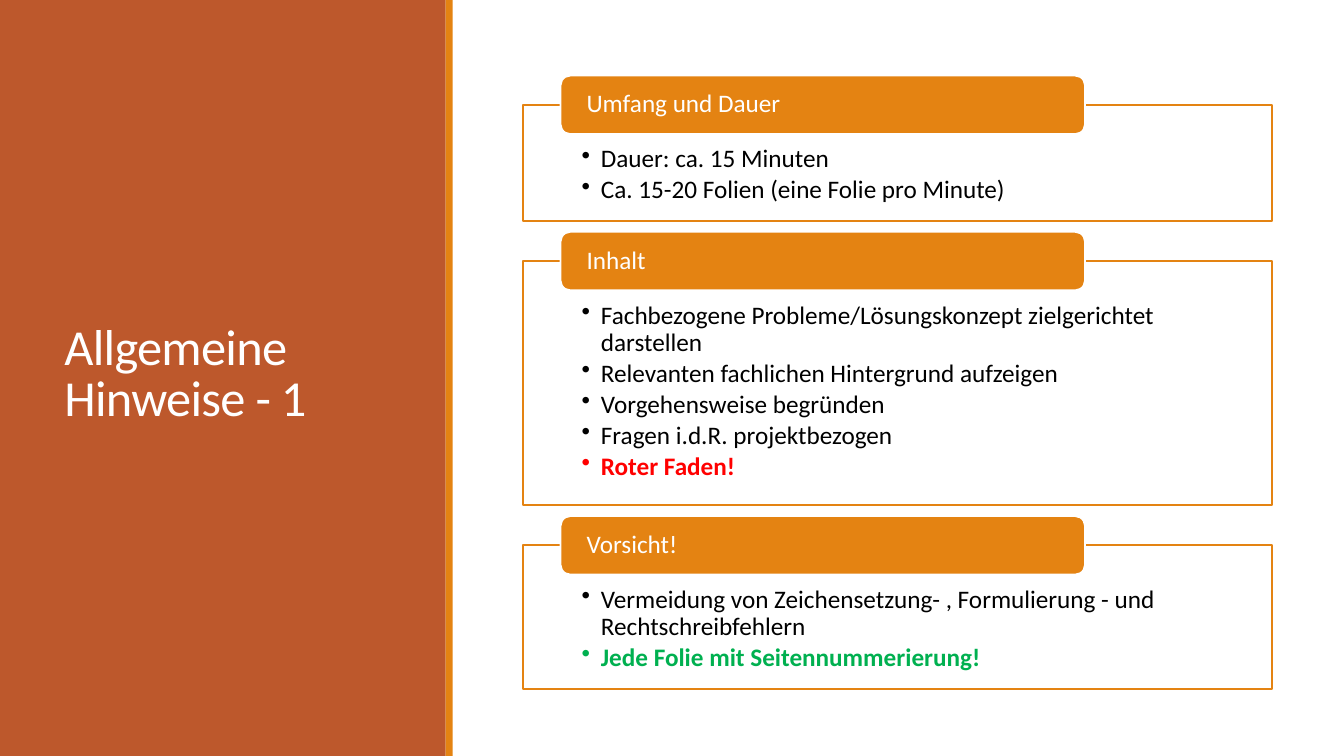
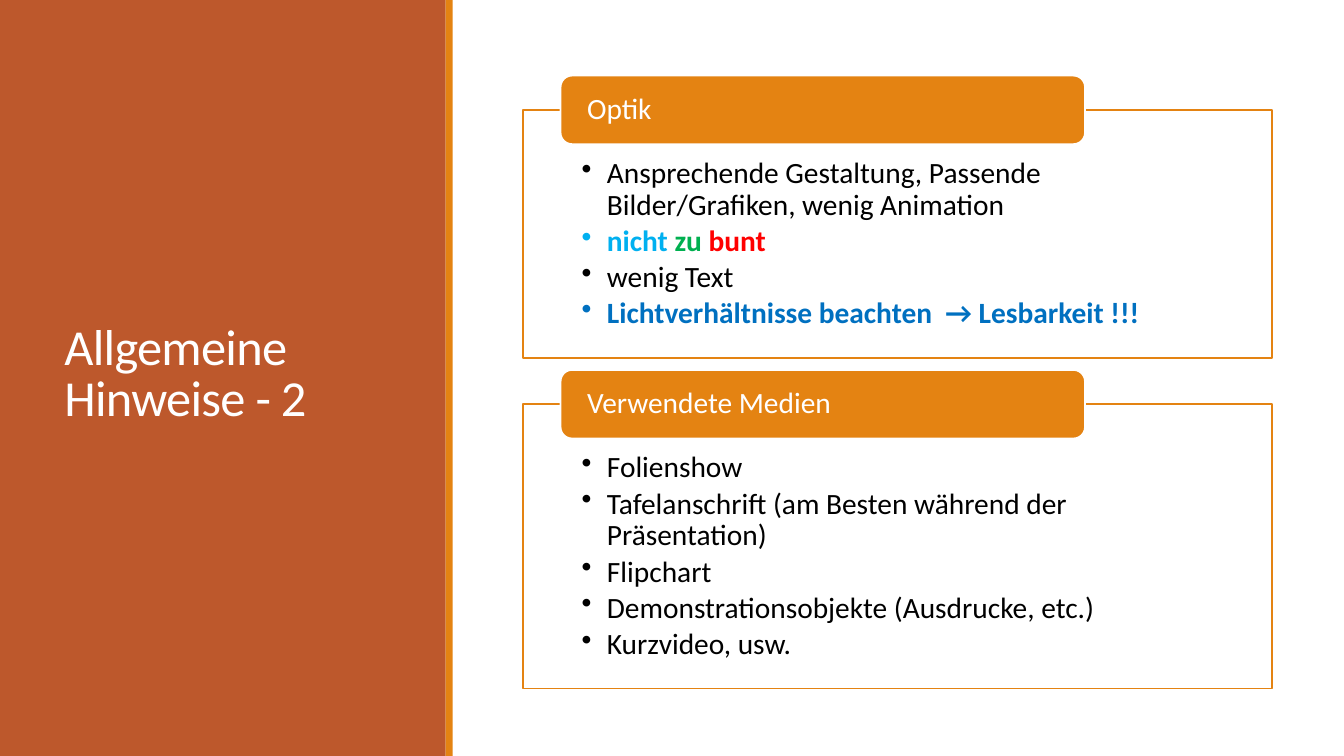
import dataclasses

import pptx
import pptx.dml.color
import pptx.enum.shapes
import pptx.enum.text
import pptx.oxml.ns
import pptx.util
from lxml import etree

Inches, Pt = pptx.util.Inches, pptx.util.Pt
SHAPE = pptx.enum.shapes.MSO_SHAPE
ANCHOR = pptx.enum.text.MSO_ANCHOR
ALIGN = pptx.enum.text.PP_ALIGN
qn = pptx.oxml.ns.qn


@dataclasses.dataclass(frozen=True)
class Theme:
    font: str = "Calibri"
    rust: str = "BD582C"
    orange: str = "E48312"
    white: str = "FFFFFF"
    black: str = "000000"
    red: str = "FF0000"
    green: str = "00B050"
    sky: str = "00B0F0"
    blue: str = "0070C0"
    title_size: float = 36
    outline: float = 1.25


@dataclasses.dataclass(frozen=True)
class Scale:
    """Type size of a panel stack and the lengths that go with it."""
    size: float
    tab: float
    gap: float
    indent: float
    top: float
    bottom: float


T = Theme()
COMPACT = Scale(size=18, tab=0.58, gap=0.11, indent=0.19, top=0.41, bottom=0.14)
LARGE = Scale(size=21, tab=0.68, gap=0.12, indent=0.25, top=0.48, bottom=0.16)
SLIDE_W, SLIDE_H = 13.33, 7.5
SIDEBAR = (0, 0, 4.42, SLIDE_H)
STACK = (5.19, 0.75, 7.43)  # left, top, width


def rgb(color):
    return pptx.dml.color.RGBColor.from_string(color)


def add_box(s, kind, box, fill, line=None):
    sp = s.shapes.add_shape(kind, *map(Inches, box))
    sp.shadow.inherit = False
    sp.fill.solid()
    sp.fill.fore_color.rgb = rgb(fill)
    if line:
        sp.line.color.rgb = rgb(line)
        sp.line.width = Pt(T.outline)
    else:
        sp.line.fill.background()
    return sp


def set_frame(sp, anchor, insets):
    tf = sp.text_frame
    tf.word_wrap = True
    tf.vertical_anchor = anchor
    (tf.margin_left, tf.margin_top,
     tf.margin_right, tf.margin_bottom) = map(Inches, insets)
    return tf


def set_paragraph(p, spacing, after=0):
    p.alignment = ALIGN.LEFT
    p.line_spacing = spacing
    p.space_after = Pt(after)


def add_run(p, text, size, color, bold=False):
    r = p.add_run()
    r.text = text
    r.font.name = T.font
    r.font.size = Pt(size)
    r.font.bold = bold
    r.font.color.rgb = rgb(color)
    return r


def add_bullet(p, indent):
    pPr = p._p.get_or_add_pPr()
    pPr.set("marL", str(Inches(indent)))
    pPr.set("indent", str(-Inches(indent)))
    etree.SubElement(pPr, qn("a:buChar")).set("char", "•")


def add_sidebar(s, box, title):
    x, y, w, h = box
    add_box(s, SHAPE.RECTANGLE, box, T.rust)
    # Title
    sp = s.shapes.add_textbox(*map(Inches, (x + 0.54, y + 0.57, w - 1.05, h - 1.19)))
    p = set_frame(sp, ANCHOR.MIDDLE, (0.1, 0.05, 0.1, 0.05)).paragraphs[0]
    set_paragraph(p, 0.85)
    r = add_run(p, title, T.title_size, T.white)
    r.font._element.set("spc", "-50")
    # Accent stripe along the right edge
    add_box(s, SHAPE.RECTANGLE, (x + w, y, 0.07, h), T.orange)


def add_panel(s, box, scale, heading, items):
    x, y, w, h = box
    # Outlined body, starting at half the height of the tab
    body = add_box(s, SHAPE.RECTANGLE, (x, y + scale.tab / 2, w, h - scale.tab / 2),
                   T.white, T.orange)
    tf = set_frame(body, ANCHOR.TOP, (0.58, scale.top, 0.58, scale.bottom))
    for i, runs in enumerate(items):
        p = tf.add_paragraph() if i else tf.paragraphs[0]
        set_paragraph(p, 0.9, scale.size * 0.15)
        add_bullet(p, scale.indent)
        for text, color in runs:
            add_run(p, text, scale.size, color, bold=color != T.black)
    # Heading tab
    tab = add_box(s, SHAPE.ROUNDED_RECTANGLE, (x + 0.37, y, w * 0.7, scale.tab),
                  T.orange, T.white)
    p = set_frame(tab, ANCHOR.MIDDLE, (0.23, 0, 0.23, 0)).paragraphs[0]
    set_paragraph(p, 0.9)
    add_run(p, heading, scale.size, T.white)


def add_hint_slide(prs, title, scale, panels):
    s = prs.slides.add_slide(prs.slide_layouts[6])
    add_sidebar(s, SIDEBAR, title)
    x, y, w = STACK
    for heading, body_h, items in panels:
        h = scale.tab / 2 + body_h
        add_panel(s, (x, y, w, h), scale, heading, items)
        y += h + scale.gap


def plain(*texts):
    return [[(text, T.black)] for text in texts]


# Panels: heading, body height, bullet items made of (text, colour) runs
GENERAL = [
    ("Umfang und Dauer", 1.15, plain(
        "Dauer: ca. 15 Minuten",
        "Ca. 15-20 Folien (eine Folie pro Minute)")),
    ("Inhalt", 2.42, plain(
        "Fachbezogene Probleme/Lösungskonzept zielgerichtet darstellen",
        "Relevanten fachlichen Hintergrund aufzeigen",
        "Vorgehensweise begründen",
        "Fragen i.d.R. projektbezogen") + [[("Roter Faden!", T.red)]]),
    ("Vorsicht!", 1.43, plain(
        "Vermeidung von Zeichensetzung- , Formulierung - und Rechtschreibfehlern")
        + [[("Jede Folie mit Seitennummerierung!", T.green)]]),
]
DESIGN = [
    ("Optik", 2.46, [
        [("Ansprechende Gestaltung, Passende Bilder/Grafiken, wenig Animation", T.black)],
        [("nicht ", T.sky), ("zu ", T.green), ("bunt", T.red)],
        [("wenig Text", T.black)],
        [("Lichtverhältnisse beachten  → Lesbarkeit !!!", T.blue)]]),
    ("Verwendete Medien", 2.82, plain(
        "Folienshow",
        "Tafelanschrift (am Besten während der Präsentation)",
        "Flipchart",
        "Demonstrationsobjekte (Ausdrucke, etc.)",
        "Kurzvideo, usw.")),
]


def main():
    prs = pptx.Presentation()
    prs.slide_width, prs.slide_height = Inches(SLIDE_W), Inches(SLIDE_H)
    add_hint_slide(prs, "Allgemeine Hinweise - 1", COMPACT, GENERAL)
    add_hint_slide(prs, "Allgemeine Hinweise - 2", LARGE, DESIGN)
    prs.save("out.pptx")


if __name__ == "__main__":
    main()
